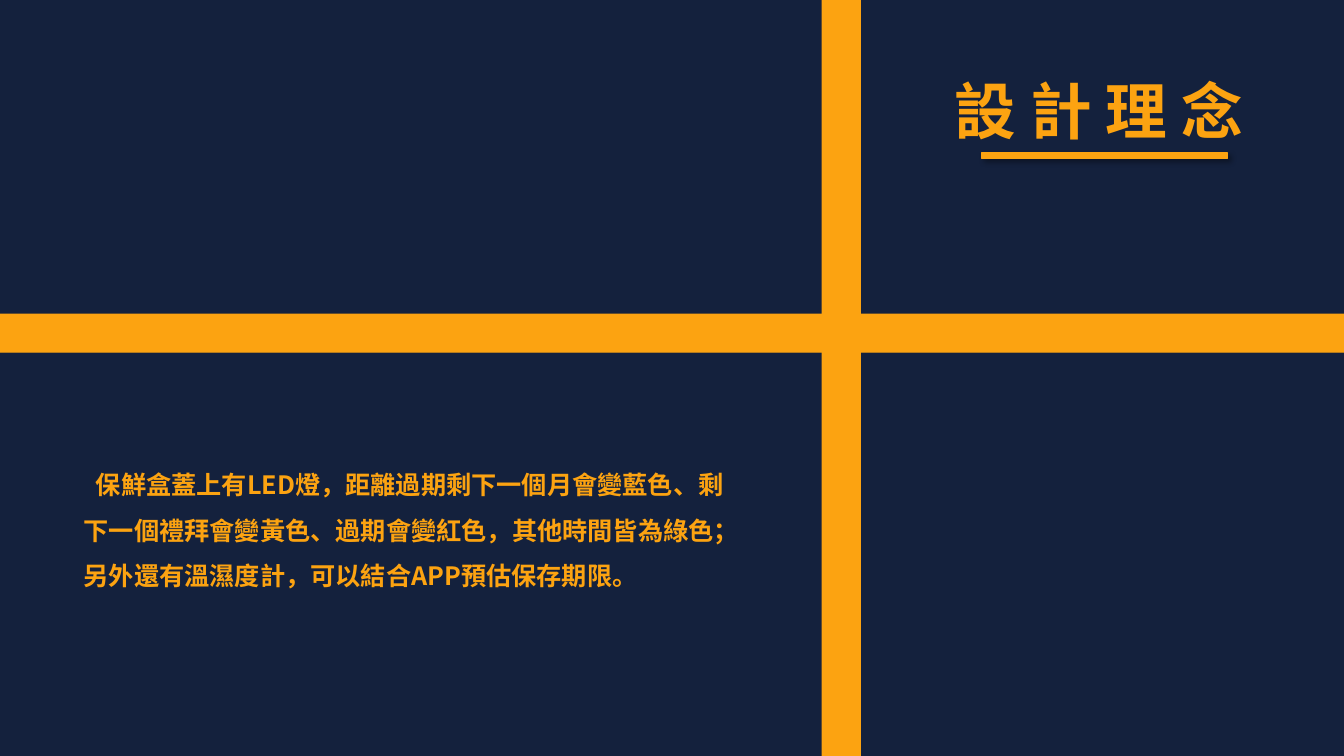
from dataclasses import dataclass

from lxml import etree
from pptx import Presentation
from pptx import util as u
from pptx.dml.color import RGBColor
from pptx.enum import shapes, text
from pptx.oxml.ns import qn

NAVY, ORANGE, BLACK = "14213D", "FCA311", "000000"
FONT = "Noto Sans CJK SC"
SLIDE_W, SLIDE_H = u.Inches(13.333), u.Inches(7.5)
RECT, ARROW = shapes.MSO_SHAPE.RECTANGLE, shapes.MSO_SHAPE.RIGHT_ARROW


@dataclass
class Box:
    """Left, top, width and height in percent of the slide's size."""
    x: float
    y: float
    w: float
    h: float


@dataclass
class Bar:
    kind: int
    box: Box
    color: str
    rotation: int = 0
    shadow: bool = False


@dataclass
class Words:
    content: str
    box: Box
    size: int
    frame: dict
    paragraph: dict
    margin: float = 0
    indent: float = 0


BACKDROP = Bar(RECT, Box(0, -0.53, 100, 100.53), NAVY)
BARS = [
    Bar(ARROW, Box(15.98, 63.47, 93.23, 10), ORANGE, rotation=270),
    Bar(ARROW, Box(-2.25, 39.07, 133.28, 10), ORANGE),
    Bar(RECT, Box(73.05, 20.27, 18.3, 0.67), ORANGE, shadow=True),
]
TITLE = Words(
    "設 計 理 念", Box(70.28, 5.47, 23.85, 19.33), 44,
    {"vertical_anchor": text.MSO_ANCHOR.MIDDLE, "auto_size": text.MSO_AUTO_SIZE.NONE},
    {"line_spacing": 0.9})
BODY = Words(
    "保鮮盒蓋上有LED燈，距離過期剩下一個月會變藍色、剩下一個禮拜會變黃色、"
    "過期會變紅色，其他時間皆為綠色；另外還有溫濕度計，可以結合APP預估保存期限。",
    Box(4.88, 59.47, 50.03, 18.8), 18,
    {"vertical_anchor": text.MSO_ANCHOR.TOP,
     "auto_size": text.MSO_AUTO_SIZE.SHAPE_TO_FIT_TEXT},
    {"line_spacing": 1.5}, margin=0.08, indent=0.12)


def rgb(color: str) -> RGBColor:
    return RGBColor.from_string(color)


def apply(target, values: dict) -> None:
    for name, value in values.items():
        setattr(target, name, value)


def place(box: Box) -> dict:
    return {"left": int(SLIDE_W * box.x / 100), "top": int(SLIDE_H * box.y / 100),
            "width": int(SLIDE_W * box.w / 100), "height": int(SLIDE_H * box.h / 100)}


def add_shadow(sp) -> None:
    effects = sp._element.spPr.find(qn("a:effectLst"))
    outer = etree.SubElement(effects, qn("a:outerShdw"), blurRad=str(u.Pt(4)),
                             dist=str(u.Pt(3)), dir=str(45 * 60000),
                             algn="tl", rotWithShape="0")
    tint = etree.SubElement(outer, qn("a:srgbClr"), val=BLACK)
    etree.SubElement(tint, qn("a:alpha"), val="40000")


def draw_bar(s, bar: Bar):
    sp = s.shapes.add_shape(bar.kind, *place(bar.box).values())
    sp.rotation = bar.rotation
    sp.fill.solid()
    sp.fill.fore_color.rgb = sp.line.color.rgb = rgb(bar.color)
    sp.line.width = u.Pt(1)
    sp.shadow.inherit = False
    if bar.shadow:
        add_shadow(sp)
    return sp


def write(sp, words: Words) -> None:
    apply(sp, place(words.box))
    tf = sp.text_frame
    apply(tf, {"word_wrap": True, **words.frame})
    p = tf.paragraphs[0]
    apply(p, {"alignment": text.PP_ALIGN.LEFT, "space_before": u.Pt(0),
              **words.paragraph})
    pPr = p._p.get_or_add_pPr()
    pPr.set("marL", str(u.Inches(words.margin)))
    pPr.set("indent", str(u.Inches(words.indent)))
    etree.SubElement(pPr, qn("a:buNone"))
    r = p.add_run()
    r.text = words.content
    apply(r.font, {"size": u.Pt(words.size), "bold": True, "name": FONT})
    r.font.color.rgb = rgb(ORANGE)
    etree.SubElement(r._r.get_or_add_rPr(), qn("a:ea"), typeface=FONT)


def main() -> None:
    prs = Presentation()
    apply(prs, {"slide_width": SLIDE_W, "slide_height": SLIDE_H})
    s = prs.slides.add_slide(prs.slide_layouts[1])

    # Backdrop, sent behind the placeholders
    backdrop = draw_bar(s, BACKDROP)
    s.shapes.title._element.addprevious(backdrop._element)

    # Title and body text
    write(s.shapes.title, TITLE)
    write(s.placeholders[1], BODY)

    # Crossing bars and title underline
    for bar in BARS:
        draw_bar(s, bar)

    prs.save("out.pptx")


if __name__ == "__main__":
    main()
